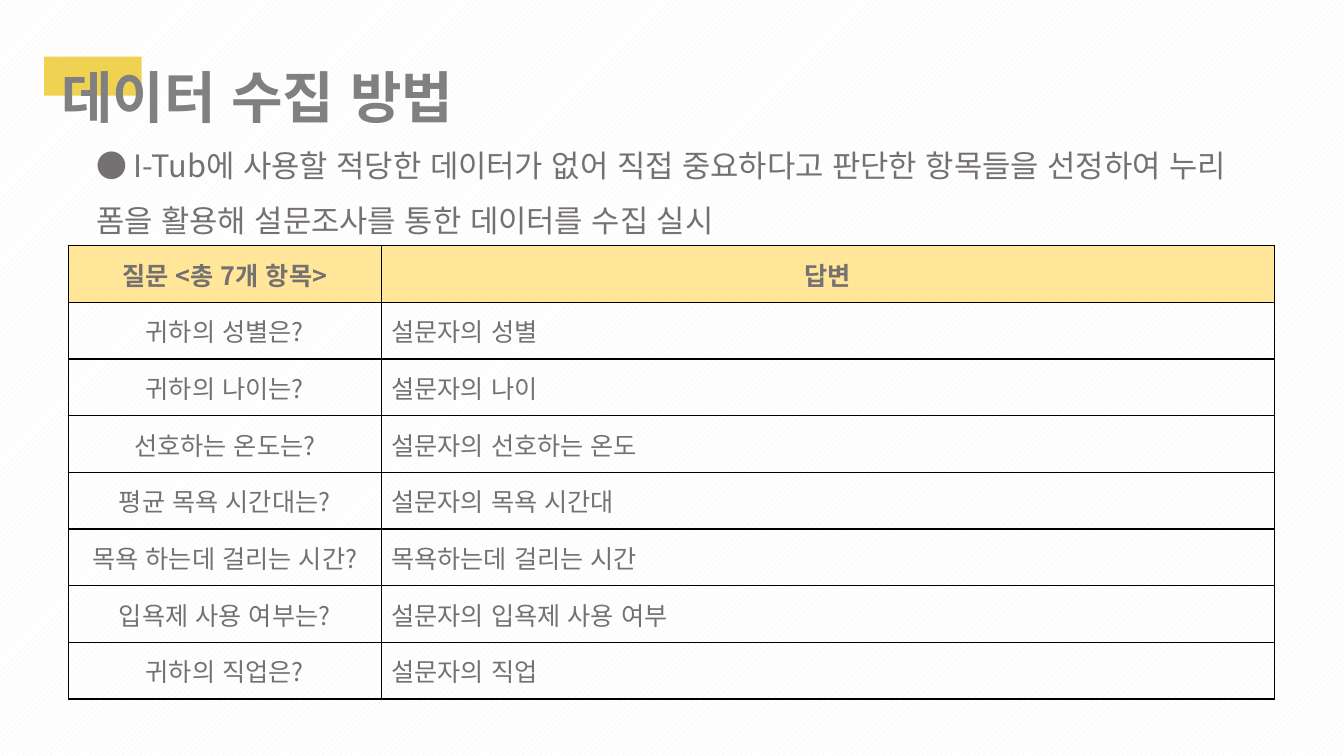
from dataclasses import dataclass

from lxml.etree import SubElement
from pptx import Presentation
from pptx.dml.color import RGBColor
from pptx.enum.dml import MSO_PATTERN
from pptx.enum.lang import MSO_LANGUAGE_ID
from pptx.enum.shapes import MSO_SHAPE
from pptx.enum.text import MSO_ANCHOR, MSO_AUTO_SIZE, PP_ALIGN
from pptx.oxml.ns import qn
from pptx.shapes.base import BaseShape
from pptx.slide import Slide
from pptx.table import _Cell as Cell
from pptx.text.text import _Paragraph as Paragraph
from pptx.util import Emu, Pt

FONT = "Noto Sans CJK KR"
TEXT_GRAY = "767171"
COLUMN_WIDTHS = (298, 851)
ROW_HEIGHT = 54


@dataclass(frozen=True)
class Box:
    left: int
    top: int
    width: int
    height: int


@dataclass(frozen=True)
class Question:
    question: str
    answer: str


TITLE_BOX = Box(49, 55, 480, 74)
HIGHLIGHT_BOX = Box(42, 54, 93, 37)
BODY_BOX = Box(82, 117, 1133, 116)

HEADER = Question("질문 <총 7개 항목>", "답변")
QUESTIONS = [
    Question("귀하의 성별은?", "설문자의 성별"),
    Question("귀하의 나이는?", "설문자의 나이"),
    Question("선호하는 온도는?", "설문자의 선호하는 온도"),
    Question("평균 목욕 시간대는?", "설문자의 목욕 시간대"),
    Question("목욕 하는데 걸리는 시간?", "목욕하는데 걸리는 시간"),
    Question("입욕제 사용 여부는?", "설문자의 입욕제 사용 여부"),
    Question("귀하의 직업은?", "설문자의 직업"),
]


def px(length: int) -> Emu:
    return Emu(length * 9525)


def color(value: str) -> RGBColor:
    return RGBColor.from_string(value)


def place(shape: BaseShape, box: Box) -> None:
    for name in ("left", "top", "width", "height"):
        setattr(shape, name, px(getattr(box, name)))


def write(paragraph: Paragraph, text: str, size: int, hex_color: str,
          bold: bool = False, align: PP_ALIGN = PP_ALIGN.LEFT) -> None:
    paragraph.alignment = align
    run = paragraph.add_run()
    run.text = text
    formats = {"name": FONT, "size": Pt(size), "bold": bold,
               "language_id": MSO_LANGUAGE_ID.KOREAN}
    for name, value in formats.items():
        setattr(run.font, name, value)
    run.font.color.rgb = color(hex_color)
    # Hangul takes its typeface from the East Asian slot
    SubElement(run.font._element, qn("a:ea"), typeface=FONT)


def fill_placeholder(shape: BaseShape, box: Box, text: str, size: int,
                     hex_color: str, bold: bool, spacing: float) -> None:
    place(shape, box)
    frame_formats = {
        "word_wrap": True,
        "auto_size": MSO_AUTO_SIZE.SHAPE_TO_FIT_TEXT,
        "vertical_anchor": MSO_ANCHOR.TOP,
    }
    for name, value in frame_formats.items():
        setattr(shape.text_frame, name, value)
    paragraph = shape.text_frame.paragraphs[0]
    paragraph.space_before = Pt(0)
    paragraph.line_spacing = spacing
    write(paragraph, text, size, hex_color, bold)
    properties = paragraph._p.get_or_add_pPr()
    properties.set("marL", "0")
    properties.set("indent", "0")
    SubElement(properties, qn("a:buNone"))


def add_highlight(slide: Slide) -> None:
    box = HIGHLIGHT_BOX
    highlight = slide.shapes.add_shape(
        MSO_SHAPE.RECTANGLE, px(box.left), px(box.top), px(box.width), px(box.height))
    highlight.shadow.inherit = False
    highlight.fill.solid()
    highlight.fill.fore_color.rgb = color("F0D252")
    highlight.line.fill.background()
    slide.shapes.title.element.addprevious(highlight.element)


def add_borders(cell: Cell) -> None:
    properties = cell._tc.get_or_add_tcPr()
    for side in ("lnL", "lnR", "lnT", "lnB"):
        line = SubElement(properties, qn(f"a:{side}"), w=str(Pt(1)))
        SubElement(SubElement(line, qn("a:solidFill")), qn("a:srgbClr"), val="000000")


def format_cell(cell: Cell, text: str, is_header: bool, centered: bool) -> None:
    add_borders(cell)
    if is_header:
        cell.fill.solid()
        cell.fill.fore_color.rgb = color("FFE699")
    else:
        cell.fill.background()
    cell.vertical_anchor = MSO_ANCHOR.MIDDLE
    align = PP_ALIGN.CENTER if centered else PP_ALIGN.LEFT
    write(cell.text_frame.paragraphs[0], text, 18, TEXT_GRAY, is_header, align)


def add_question_table(slide: Slide) -> None:
    rows = [HEADER, *QUESTIONS]
    table = slide.shapes.add_table(
        len(rows), len(COLUMN_WIDTHS), px(65), px(234),
        px(sum(COLUMN_WIDTHS)), px(ROW_HEIGHT * len(rows))).table
    table.first_row = table.horz_banding = False
    for column, width in zip(table.columns, COLUMN_WIDTHS):
        column.width = px(width)
    for index, row in enumerate(rows):
        table.rows[index].height = px(ROW_HEIGHT)
        is_header = index == 0
        format_cell(table.cell(index, 0), row.question, is_header, True)
        format_cell(table.cell(index, 1), row.answer, is_header, is_header)


def main() -> None:
    presentation = Presentation()
    presentation.slide_width, presentation.slide_height = px(1280), px(720)
    slide = presentation.slides.add_slide(presentation.slide_layouts[1])

    background = slide.background.fill
    background.patterned()
    background.pattern = MSO_PATTERN.WIDE_UPWARD_DIAGONAL
    background.fore_color.rgb = color("F2F2F2")
    background.back_color.rgb = color("FFFFFF")

    add_highlight(slide)
    fill_placeholder(slide.shapes.title, TITLE_BOX, "데이터 수집 방법",
                     40, "808080", True, 1.0)
    fill_placeholder(
        slide.placeholders[1], BODY_BOX,
        "● I-Tub에 사용할 적당한 데이터가 없어 직접 중요하다고 판단한 항목들을 "
        "선정하여 누리 폼을 활용해 설문조사를 통한 데이터를 수집 실시",
        22, TEXT_GRAY, False, 1.5)
    add_question_table(slide)
    presentation.save("out.pptx")


if __name__ == "__main__":
    main()
